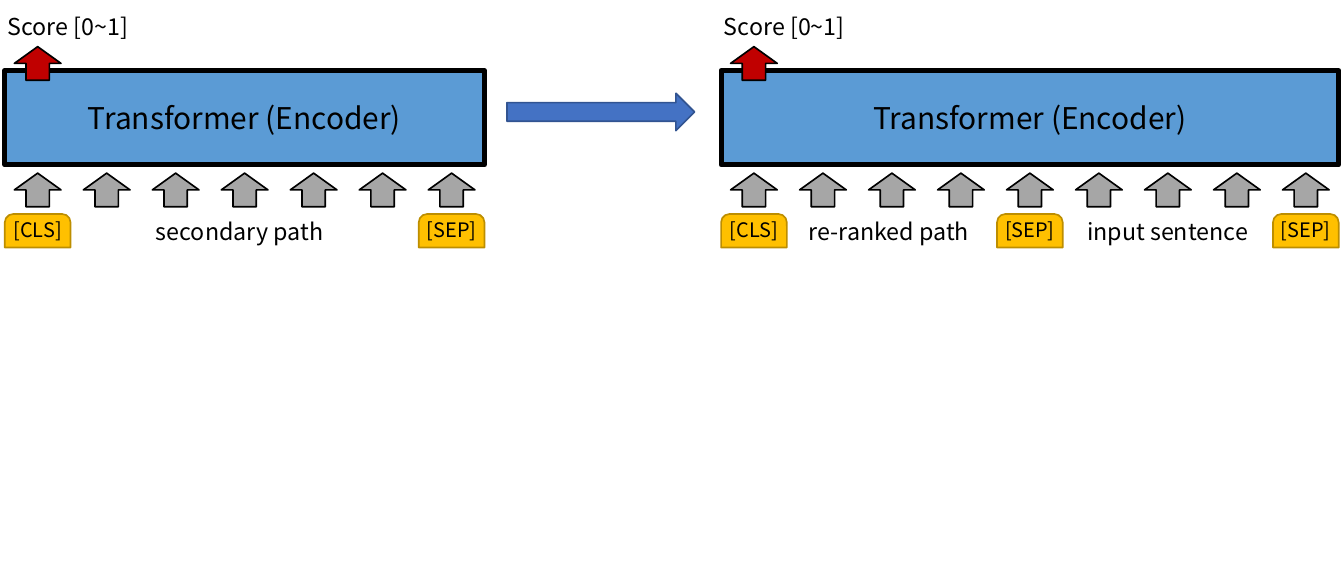
from pptx import Presentation
from pptx.dml.color import RGBColor
from pptx.enum.shapes import MSO_SHAPE as SHAPE
from pptx.enum.text import MSO_ANCHOR as ANCHOR, PP_ALIGN as ALIGN
from pptx.util import Pt

COLORS = {
    "black": "000000",
    "encoder": "5B9BD5",
    "token": "FFC000",
    "token_line": "BD8E00",
    "input": "A6A6A6",
    "score": "C00000",
    "flow": "4472C4",
    "flow_line": "325491",
}
FONT = "Noto Sans CJK KR"
PITCH = 41.54
TOKEN_W = 39.6
ARROW_W, ARROW_H = 28.1, 20.2
ARROW_INSET = (TOKEN_W - ARROW_W) / 2
TOKEN_Y = 128.9

ENCODERS = [
    {
        "x": 2.9,
        "slots": 7,
        "tokens": {0: "[CLS]", 6: "[SEP]"},
        "labels": [("secondary path", 38.2, 206.6)],
    },
    {
        "x": 434.2,
        "slots": 9,
        "tokens": {0: "[CLS]", 4: "[SEP]", 8: "[SEP]"},
        "labels": [("re-ranked path", 44.6, 113), ("input sentence", 212.4, 113)],
    },
]


def rgb(name):
    return RGBColor.from_string(COLORS[name])


def write(sp, text, size, margins=(0, 0, 0, 0)):
    tf = sp.text_frame
    left, top, right, bottom = margins
    frame_format = {
        "word_wrap": True,
        "vertical_anchor": ANCHOR.MIDDLE,
        "margin_left": Pt(left),
        "margin_top": Pt(top),
        "margin_right": Pt(right),
        "margin_bottom": Pt(bottom),
    }
    for key, value in frame_format.items():
        setattr(tf, key, value)
    p = tf.paragraphs[0]
    p.alignment = ALIGN.CENTER
    r = p.add_run()
    r.text = text
    for key, value in {"name": FONT, "size": Pt(size)}.items():
        setattr(r.font, key, value)
    r.font.color.rgb = rgb("black")


def add_block(s, kind, box, fill, line="black", weight=1):
    sp = s.shapes.add_shape(kind, *map(Pt, box))
    sp.shadow.inherit = False
    sp.fill.solid()
    sp.fill.fore_color.rgb = rgb(fill)
    sp.line.color.rgb = rgb(line)
    sp.line.width = Pt(weight)
    return sp


def add_label(s, text, box):
    write(s.shapes.add_textbox(*map(Pt, box)), text, 14)


def add_up_arrow(s, x, y, fill):
    add_block(s, SHAPE.UP_ARROW, (x, y, ARROW_W, ARROW_H), fill)


def add_token(s, text, x):
    sp = add_block(s, SHAPE.ROUND_2_SAME_RECTANGLE,
                   (x, TOKEN_Y, TOKEN_W, 20.2), "token", "token_line")
    sp.adjustments[0] = 0.25
    write(sp, text, 12, (0, 0, 0, 2.9))


def add_encoder(s, x, slots, tokens, labels):
    width = (slots - 1) * PITCH + TOKEN_W
    sp = add_block(s, SHAPE.RECTANGLE, (x, 42.5, width, 56.9), "encoder", weight=3)
    write(sp, "Transformer (Encoder)", 18, (7.2, 3.6, 7.2, 3.6))
    for slot in range(slots):
        add_up_arrow(s, x + slot * PITCH + ARROW_INSET, 104.3, "input")
    for slot, text in tokens.items():
        add_token(s, text, x + slot * PITCH)
    for text, offset, label_width in labels:
        add_label(s, text, (x + offset, TOKEN_Y, label_width, 20.2))
    add_label(s, "Score [0~1]", (x, 2.9, 76.3, 25.2))
    add_up_arrow(s, x + ARROW_INSET, 28.1, "score")


def main():
    prs = Presentation()
    prs.slide_width, prs.slide_height = Pt(809.3), Pt(339.1)
    s = prs.slides.add_slide(prs.slide_layouts[6])
    for encoder in ENCODERS:
        add_encoder(s, **encoder)
    add_block(s, SHAPE.RIGHT_ARROW, (305.3, 56.2, 113, 22.5), "flow", "flow_line")
    prs.save("out.pptx")


if __name__ == "__main__":
    main()
